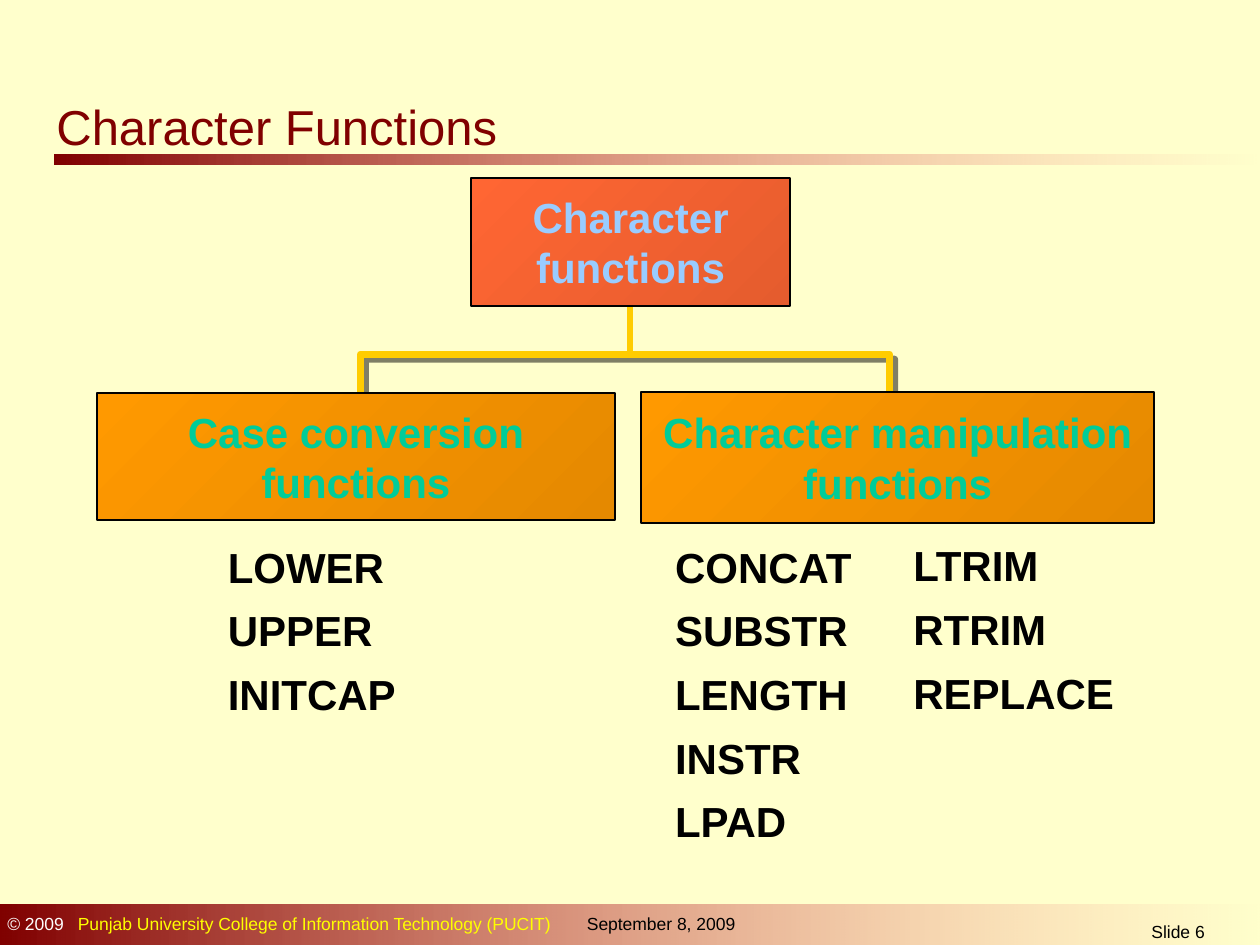
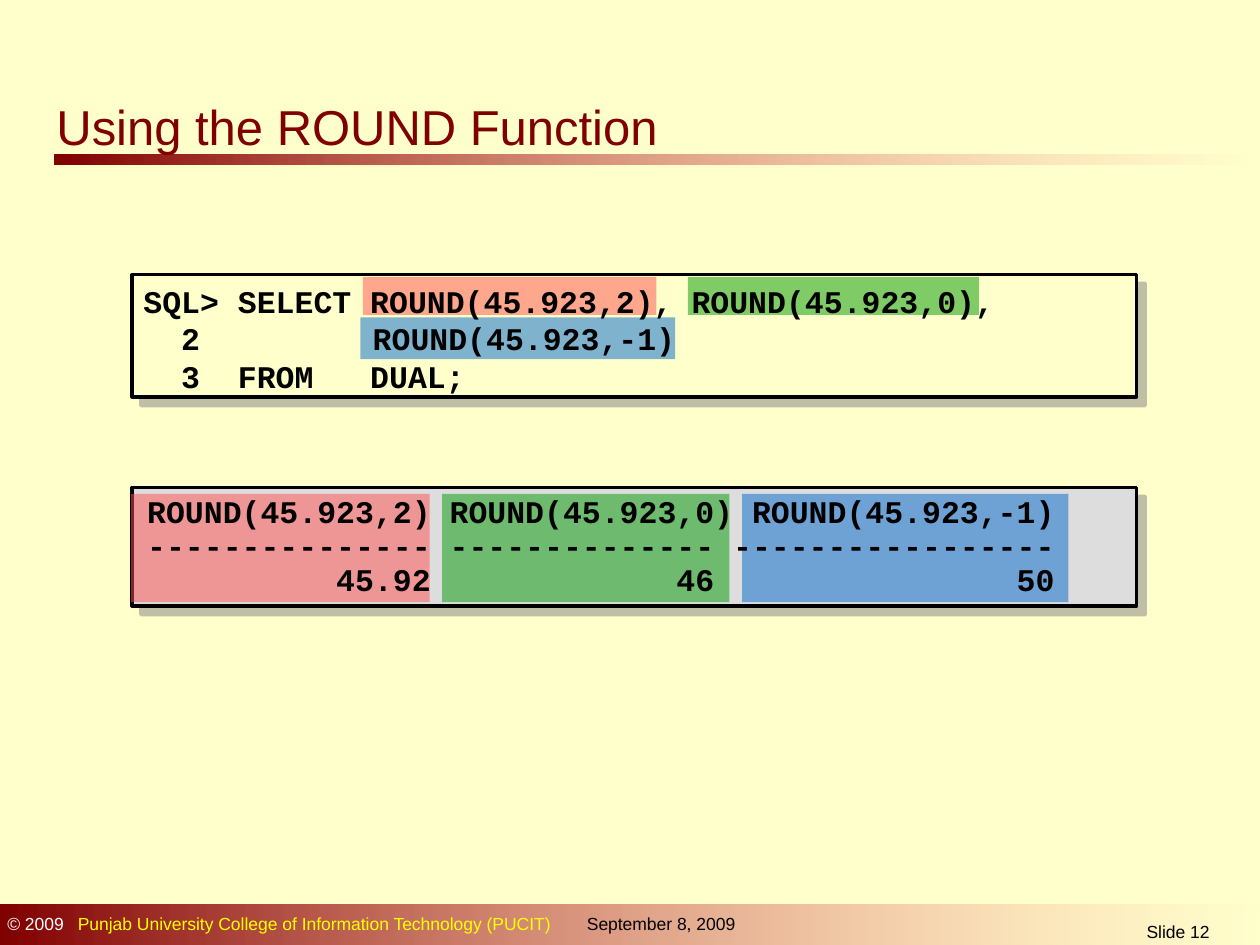
from lxml.etree import SubElement
from pptx import Presentation
from pptx.dml.color import RGBColor
from pptx.enum.shapes import MSO_CONNECTOR, MSO_SHAPE
from pptx.enum.text import MSO_ANCHOR, PP_ALIGN
from pptx.oxml.ns import qn
from pptx.util import Inches, Pt

COLORS = {
    "cream": "FFFFCC", "maroon": "800000", "pink": "FF8585",
    "black": "000000", "white": "FFFFFF", "yellow": "FFFF00",
    "gold": "FFCC00", "shadow": "808080", "result": "DDDDDD",
    "root": "FF6633", "root_dark": "E55C2E", "root_text": "99CCFF",
    "branch": "FF9900", "branch_dark": "E58900", "branch_text": "00CC99",
    "red": "FF5050", "green": "009900", "blue": "0066CC",
}


def rgb(name):
    return RGBColor.from_string(COLORS[name])


def set_alpha(color_element, percent):
    SubElement(color_element, qn("a:alpha"), val=str(percent * 1000))


def add_shadow(shape, color, distance):
    shape.shadow.inherit = False
    effects = shape._element.spPr.find(qn("a:effectLst"))
    shadow = SubElement(effects, qn("a:outerShdw"), dist=str(Pt(distance)),
                        dir=str(45 * 60000), algn="ctr", rotWithShape="0")
    set_alpha(SubElement(shadow, qn("a:srgbClr"), val=COLORS[color]), 50)


def add_rect(s, box, fill=None, line=None, width=1, alpha=None):
    sp = s.shapes.add_shape(MSO_SHAPE.RECTANGLE, *map(Inches, box))
    sp.shadow.inherit = False
    if fill:
        sp.fill.solid()
        sp.fill.fore_color.rgb = rgb(fill)
    if alpha is not None:
        set_alpha(next(sp._element.spPr.iter(qn("a:srgbClr"))), alpha)
    if line:
        sp.line.color.rgb = rgb(line)
        sp.line.width = Pt(width)
    else:
        sp.line.fill.background()
    return sp


def fill_gradient(sp, start, end, angle):
    sp.fill.gradient()
    sp.fill.gradient_angle = angle
    for stop, name in zip(sp.fill.gradient_stops, (start, end)):
        stop.color.rgb = rgb(name)


def add_tabs(p, stops):
    tabs = SubElement(p._p.get_or_add_pPr(), qn("a:tabLst"))
    for stop in stops:
        SubElement(tabs, qn("a:tab"), pos=str(Inches(stop)), algn="l")


def write(shape, lines, size, color="black", bold=False, font="Arial",
          align=PP_ALIGN.LEFT, anchor=MSO_ANCHOR.TOP, spacing=None,
          before=0, tabs=()):
    tf = shape.text_frame
    tf.word_wrap = True
    tf.vertical_anchor = anchor
    for i, line in enumerate(lines):
        p = tf.paragraphs[0] if i == 0 else tf.add_paragraph()
        if tabs:
            add_tabs(p, tabs)
        p.text = line
        p.alignment = align
        if spacing:
            p.line_spacing = spacing
        if i and before:
            p.space_before = Pt(before)
        p.font.name = font
        p.font.size = Pt(size)
        p.font.bold = bold
        p.font.color.rgb = rgb(color)


def add_text(s, box, lines, size, **style):
    tb = s.shapes.add_textbox(*map(Inches, box))
    write(tb, lines, size, **style)
    return tb


# Shared frame
def add_band(s, box):
    sp = add_rect(s, box)
    fill_gradient(sp, "pink", "maroon", 180)
    set_alpha(next(sp._element.spPr.iter(qn("a:srgbClr"))), 0)


def add_footer(s, box, number):
    x, y, w, h = box
    add_band(s, box)
    tb = add_text(s, (x - 0.04, y + 0.02, 4.8, 0.27), [""], 10, tabs=[0.56])
    p = tb.text_frame.paragraphs[0]
    for text, color in (
            ("© 2009", "white"),
            ("\tPunjab University College of Information Technology (PUCIT)",
             "yellow")):
        r = p.add_run()
        r.text = text
        r.font.color.rgb = rgb(color)
    add_text(s, (x + 4.56, y + 0.02, 1.54, 0.27), ["September 8, 2009"], 10)
    add_text(s, (x + 8.31, y + 0.08, 2.08, 0.24), [f"Slide {number}"], 10,
             align=PP_ALIGN.CENTER)


def new_slide(prs, title, title_width, number):
    s = prs.slides.add_slide(prs.slide_layouts[6])
    s.background.fill.solid()
    s.background.fill.fore_color.rgb = rgb("cream")
    add_band(s, (0.43, 1.23, 9.57, 0.08))
    add_footer(s, (0, 7.18, 10.03, 0.35), number)
    add_text(s, (0.35, 0.72, title_width, 0.59), [title], 28, color="maroon")
    return s


# Function tree
def add_node(s, box, lines, kind):
    sp = add_rect(s, box, line="black")
    fill_gradient(sp, f"{kind}_dark", kind, 135)
    write(sp, lines, 24, color=f"{kind}_text", bold=True,
          align=PP_ALIGN.CENTER, anchor=MSO_ANCHOR.MIDDLE)


def add_fork(s, box):
    x, y, w, h = box
    trunk = s.shapes.add_connector(
        MSO_CONNECTOR.STRAIGHT,
        *map(Inches, (5, y - 0.02, 5, y - 0.37)))
    SubElement(trunk._element.spPr, qn("a:effectLst"))
    builder = s.shapes.build_freeform(Inches(x), Inches(y + h - 0.04))
    corners = [(x, y), (x + w, y), (x + w, y + h)]
    builder.add_line_segments(
        [(Inches(px), Inches(py)) for px, py in corners], close=False)
    fork = builder.convert_to_shape()
    fork.fill.background()
    add_shadow(fork, "black", 4.2)
    for line in (trunk.line, fork.line):
        line.color.rgb = rgb("gold")
        line.width = Pt(4)


def add_function_list(s, box, names):
    add_text(s, box, names, 24, bold=True, spacing=0.9, before=10.5)


def build_character_functions(prs):
    s = new_slide(prs, "Character Functions", 3.8, 6)
    add_node(s, (3.74, 1.41, 2.53, 1.02), ["Character", "functions"], "root")
    add_fork(s, (2.86, 2.81, 4.2, 0.59))
    add_node(s, (0.77, 3.12, 4.11, 1.01),
             ["Case conversion", "functions"], "branch")
    add_node(s, (5.09, 3.11, 4.07, 1.04),
             ["Character manipulation", "functions"], "branch")
    add_function_list(s, (1.71, 4.29, 1.6, 1.47),
                      ["LOWER", "UPPER", "INITCAP"])
    add_function_list(s, (5.26, 4.29, 1.7, 2.48),
                      ["CONCAT", "SUBSTR", "LENGTH", "INSTR", "LPAD"])
    add_function_list(s, (7.15, 4.28, 1.85, 1.47),
                      ["LTRIM", "RTRIM", "REPLACE"])


# Code panels
def add_code_panel(s, box, fill, highlights, text_box, lines, **style):
    x, y, w, h = box
    panel = add_rect(s, box, fill, "black", 2)
    add_shadow(panel, "shadow", 7.1)
    for color, (dx, dy, hw, hh) in zip(("red", "green", "blue"), highlights):
        add_rect(s, (x + dx, y + dy, hw, hh), color, alpha=50)
    dx, dy, tw, th = text_box
    add_text(s, (x + dx, y + dy, tw, th), lines, 18, bold=True,
             font="Courier New", **style)


def build_round_function(prs):
    s = new_slide(prs, "Using the ROUND Function", 5.1, 12)
    # Query
    add_code_panel(
        s, (1.05, 2.18, 7.97, 0.97), "cream",
        [(1.83, 0.02, 2.33, 0.3), (4.41, 0.02, 2.31, 0.3),
         (1.81, 0.34, 2.5, 0.33)],
        (-0.01, -0.36, 8, 1.73),
        ["SQL> SELECT ROUND(45.923,2), ROUND(45.923,0),",
         "  2  \t\tROUND(45.923,-1)",
         "  3  FROM   DUAL;"],
        anchor=MSO_ANCHOR.MIDDLE, tabs=[1.31, 1.82])
    # Result
    add_code_panel(
        s, (1.05, 3.87, 7.97, 0.94), "result",
        [(dx, 0.05, w, 0.86)
         for dx, w in ((-0.01, 2.37), (2.46, 2.28), (4.84, 2.59))],
        (0.02, 0.02, 7.94, 0.91),
        ["ROUND(45.923,2) ROUND(45.923,0) ROUND(45.923,-1)",
         "--------------- -------------- -----------------",
         "          45.92             46                50"],
        spacing=0.9)


def main():
    prs = Presentation()
    prs.slide_width, prs.slide_height = Inches(10), Inches(7.5)
    build_character_functions(prs)
    build_round_function(prs)
    prs.save("out.pptx")


if __name__ == "__main__":
    main()
